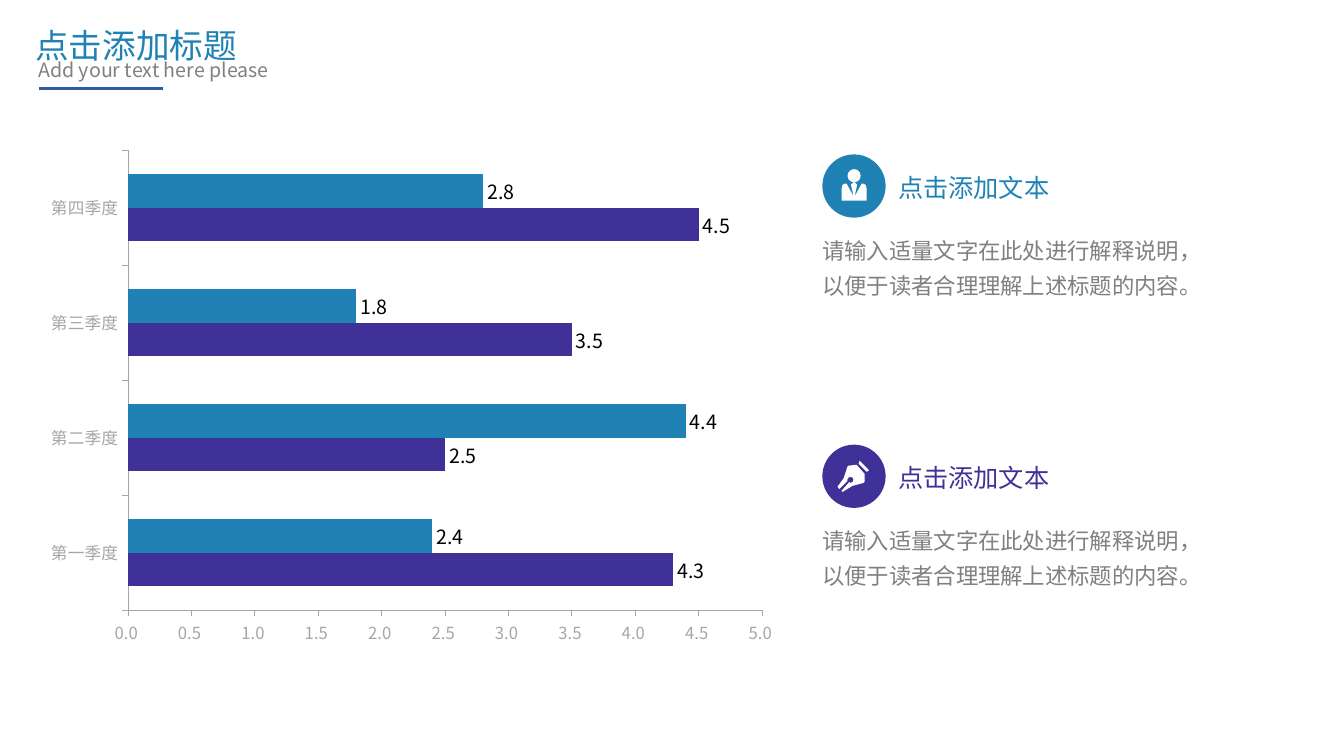
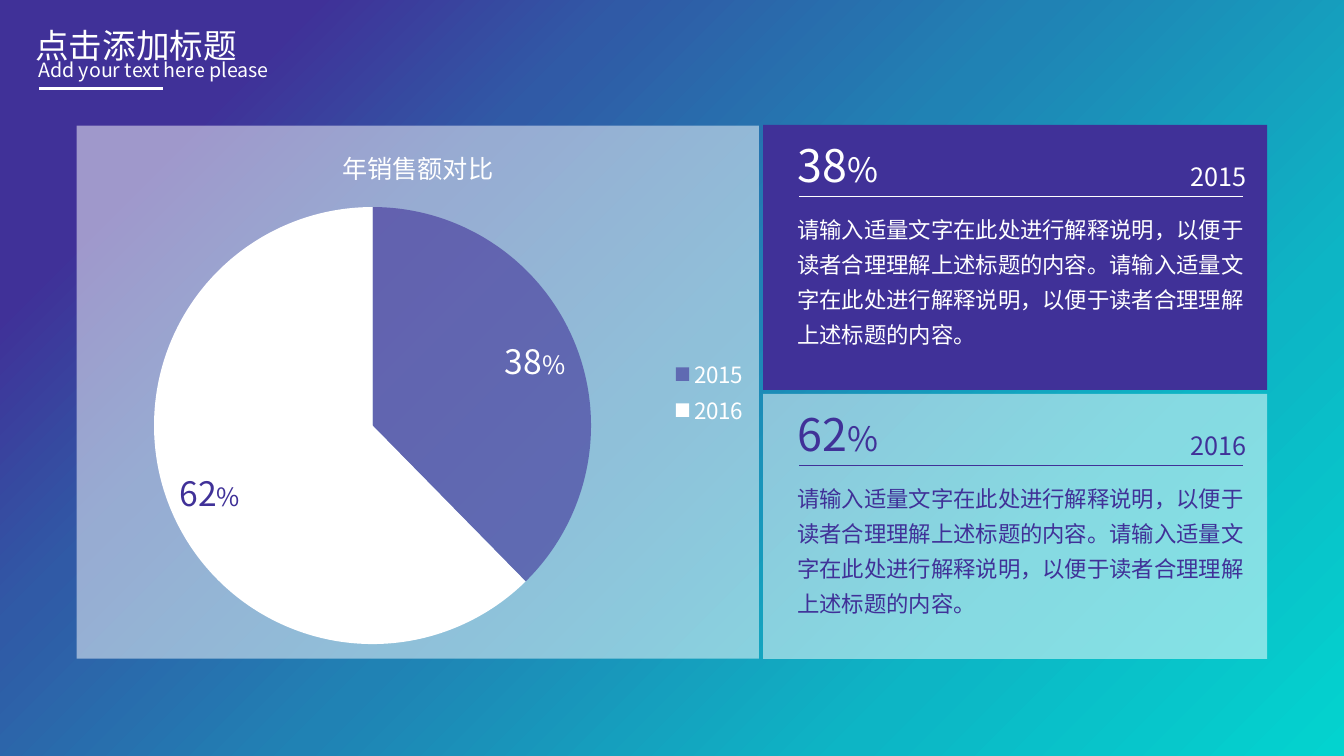
from lxml import etree
from pptx import Presentation
from pptx.chart.data import CategoryChartData
from pptx.dml.color import RGBColor
from pptx.enum.chart import XL_CHART_TYPE, XL_LABEL_POSITION, XL_LEGEND_POSITION, XL_TICK_MARK
from pptx.enum.shapes import MSO_CONNECTOR, MSO_SHAPE
from pptx.enum.text import MSO_ANCHOR, MSO_AUTO_SIZE, PP_ALIGN
from pptx.oxml import parse_xml
from pptx.oxml.ns import nsdecls, qn
from pptx.util import Pt

LEFT, RIGHT = PP_ALIGN.LEFT, PP_ALIGN.RIGHT
OUTSIDE = XL_TICK_MARK.OUTSIDE
OUTSIDE_END, BEST_FIT = XL_LABEL_POSITION.OUTSIDE_END, XL_LABEL_POSITION.BEST_FIT
RECTANGLE, OVAL = MSO_SHAPE.RECTANGLE, MSO_SHAPE.OVAL

FONT = "Noto Sans CJK SC"
WHITE, BLACK, DARK_GRAY, GRAY, LIGHT_GRAY = "FFFFFF", "000000", "404040", "808080", "A6A6A6"
BLUE, NAVY, PURPLE = "2082B4", "305AA6", "403198"
BACKGROUND_STOPS = [(15, PURPLE), (30, NAVY), (50, BLUE), (76, "0DB5C5"), (100, "03D3CF")]
NUMBER_FORMAT = r"#,##0.0_);[Red]\(#,##0.0\)"
EXPLANATION = "请输入适量文字在此处进行解释说明，以便于读者合理理解上述标题的内容。"

# Icon outlines, in tenths of a point from the corner of the disc
PERSON_BODY = [
    (137, 331), (137, 245), (145, 217), (162, 209), (173, 209), (224, 302), (205, 216), (227, 196),
    (249, 216), (230, 302), (281, 209), (292, 209), (309, 217), (317, 245), (317, 331)]
PEN_CAP = [(331, 180), (274, 122), (266, 116), (259, 137), (317, 194), (331, 187)]
PEN_NIB = [
    (245, 144), (187, 151), (180, 158), (153, 240), (108, 302), (122, 317), (180, 259),
    (180, 250), (187, 236), (202, 230), (217, 236), (223, 252), (217, 267), (202, 274), (192, 268),
    (137, 331), (144, 338), (216, 295), (295, 274), (302, 266), (302, 209)]


def rgb(color):
    return RGBColor.from_string(color)


def style_font(font, size, color):
    font.name, font.size = FONT, Pt(size)
    font.color.rgb = rgb(color)


def add_runs(paragraph, *runs):
    """Add (text, size, color) runs to a paragraph."""
    for text, size, color in runs:
        run = paragraph.add_run()
        run.text = text
        run.font.bold = False
        style_font(run.font, size, color)


def make_translucent(color_element, percent):
    etree.SubElement(color_element, qn("a:alpha")).set("val", str(percent * 1000))


def add_text(slide, box, text, size, color, alignment=LEFT, line_spacing=1.0):
    frame = slide.shapes.add_textbox(*map(Pt, box)).text_frame
    frame.word_wrap = True
    paragraph = frame.paragraphs[0]
    paragraph.text = text
    paragraph.alignment, paragraph.line_spacing = alignment, line_spacing
    style_font(paragraph.font, size, color)


def finish_shape(shape, color):
    shape.shadow.inherit = False
    shape.fill.solid()
    shape.fill.fore_color.rgb = rgb(color)
    shape.line.fill.background()


def add_filled_shape(slide, kind, box, color):
    shape = slide.shapes.add_shape(kind, *map(Pt, box))
    finish_shape(shape, color)
    return shape


def add_outline(slide, left, top, points, color):
    builder = slide.shapes.build_freeform(*points[0], scale=Pt(0.1))
    builder.add_line_segments(points[1:], close=True)
    finish_shape(builder.convert_to_shape(Pt(left), Pt(top)), color)


def add_rule(slide, left, top, width, color, weight):
    rule = slide.shapes.add_connector(
        MSO_CONNECTOR.STRAIGHT, Pt(left), Pt(top), Pt(left + width), Pt(top))
    rule.line.color.rgb = rgb(color)
    rule.line.width = Pt(weight)
    etree.SubElement(rule.element.spPr, qn("a:effectLst"))


def add_heading(slide, title_color, subtitle_color, rule_color):
    title = slide.shapes.title
    title.left, title.top, title.width, title.height = map(Pt, (18, 14.4, 171.4, 36))
    frame = title.text_frame
    frame.text = "点击添加标题"
    frame.auto_size, frame.vertical_anchor = MSO_AUTO_SIZE.NONE, MSO_ANCHOR.TOP
    paragraph = frame.paragraphs[0]
    paragraph.alignment = LEFT
    style_font(paragraph.font, 24, title_color)
    add_text(slide, (20.3, 37.8, 193, 24.5), "Add your text here please", 14, subtitle_color)
    add_rule(slide, 28, 63, 88.5, rule_color, 2)


def set_east_asian_font(element):
    for latin in element.iter(qn("a:latin")):
        latin.addnext(parse_xml(f'<a:ea {nsdecls("a")} typeface="{FONT}"/>'))


def set_plot_box(chart, chart_box, plot_box):
    """Pin the inner plot area; plot_box is in points from the corner of the chart."""
    plot_area = chart.element.find(".//" + qn("c:plotArea"))
    for layout in plot_area.findall(qn("c:layout")):
        plot_area.remove(layout)
    sizes = chart_box[2:] * 2
    values = "".join(f'<c:{key} val="{length / size:.4f}"/>'
                     for key, length, size in zip("xywh", plot_box, sizes))
    plot_area.insert(0, parse_xml(
        f'<c:layout {nsdecls("c")}><c:manualLayout><c:layoutTarget val="inner"/>'
        f'<c:xMode val="edge"/><c:yMode val="edge"/>{values}</c:manualLayout></c:layout>'))


def add_chart(slide, kind, box, categories, series):
    data = CategoryChartData()
    data.categories = categories
    for name, values in series:
        data.add_series(name, values)
    chart = slide.shapes.add_chart(kind, *map(Pt, box), data).chart
    style_font(chart.font, 10, BLACK)
    return chart


def show_values(series, position, size, color):
    labels = series.data_labels
    labels.show_value, labels.position = True, position
    style_font(labels.font, size, color)
    return labels


def add_quarter_chart(slide, box):
    chart = add_chart(
        slide, XL_CHART_TYPE.BAR_CLUSTERED, box, ["第一季度", "第二季度", "第三季度", "第四季度"],
        [("Series 1", (4.3, 2.5, 3.5, 4.5)), ("Series 2", (2.4, 4.4, 1.8, 2.8))])
    chart.has_legend = chart.has_title = False
    set_plot_box(chart, box, (65.5, 7.2, 452.9, 328.6))
    plot = chart.plots[0]
    plot.gap_width, plot.vary_by_categories = 142, False
    for series, color in zip(plot.series, (PURPLE, BLUE)):
        series.format.fill.solid()
        series.format.fill.fore_color.rgb = rgb(color)
        labels = show_values(series, OUTSIDE_END, 14, BLACK)
        labels.number_format, labels.number_format_is_linked = NUMBER_FORMAT, False
    for axis in (chart.category_axis, chart.value_axis):
        axis.has_major_gridlines = False
        axis.major_tick_mark = OUTSIDE
        axis.format.line.color.rgb = rgb(LIGHT_GRAY)
        axis.format.line.width = Pt(0.75)
        style_font(axis.tick_labels.font, 11.9, LIGHT_GRAY)
    axis = chart.value_axis
    axis.minimum_scale, axis.maximum_scale, axis.major_unit = 0, 5, 0.5
    axis.tick_labels.number_format = NUMBER_FORMAT
    axis.tick_labels.number_format_is_linked = False
    set_east_asian_font(chart.element)


def add_sales_chart(slide, box):
    name = "年销售额对比"
    chart = add_chart(slide, XL_CHART_TYPE.PIE, box, ["2015", "2016"], [(name, (3.2, 5.3))])
    set_plot_box(chart, box, (55.2, 58.1, 312.2, 312.2))
    chart.has_title = True
    add_runs(chart.chart_title.text_frame.paragraphs[0], (name, 18, WHITE))
    chart.has_legend = True
    chart.legend.position = XL_LEGEND_POSITION.RIGHT
    chart.legend.include_in_layout = False
    style_font(chart.legend.font, 16, WHITE)
    plot = chart.plots[0]
    plot.vary_by_categories = True
    series = plot.series[0]
    show_values(series, BEST_FIT, 18, DARK_GRAY)
    slices = [("38", PURPLE, WHITE), ("62", WHITE, PURPLE)]
    for index, (share, fill_color, text_color) in enumerate(slices):
        point = series.points[index]
        point.format.fill.solid()
        point.format.fill.fore_color.rgb = rgb(fill_color)
        point.format.line.fill.background()
        label = point.data_label
        add_runs(label.text_frame.paragraphs[0], (share, 24, text_color), ("%", 18, text_color))
        label.position = BEST_FIT
    make_translucent(chart.element.find(f".//{qn('c:dPt')}//{qn('a:srgbClr')}"), 60)
    chart.element.find(qn("c:chart")).addnext(parse_xml(
        f'<c:spPr {nsdecls("c", "a")}><a:solidFill><a:srgbClr val="{WHITE}">'
        '<a:alpha val="50000"/></a:srgbClr></a:solidFill><a:ln><a:noFill/></a:ln></c:spPr>'))
    set_east_asian_font(chart.element)


def draw_person(slide, left, top):
    add_filled_shape(slide, OVAL, (left + 18, top + 10.5, 9.4, 9.4), WHITE)
    add_outline(slide, left, top, PERSON_BODY, WHITE)


def draw_pen(slide, left, top):
    for points in (PEN_CAP, PEN_NIB):
        add_outline(slide, left, top, points, WHITE)


def add_icon_block(slide, left, top, color, draw_icon):
    add_filled_shape(slide, OVAL, (left, top, 45.2, 45.2), color)
    draw_icon(slide, left, top)
    add_text(slide, (left + 47, top + 9.4, 196, 29), "点击添加文本", 18, color)
    add_text(slide, (left - 7.2, top + 49.7, 288, 55.5), EXPLANATION, 16, GRAY, line_spacing=1.3)


def add_year_panel(slide, left, top, share, year, fill_color, text_color, opacity):
    panel = add_filled_shape(slide, RECTANGLE, (left, top, 360, 189.4), fill_color)
    if opacity < 100:
        make_translucent(panel.element.spPr.find(".//" + qn("a:srgbClr")), opacity)
    frame = slide.shapes.add_textbox(*map(Pt, (left + 17.4, top + 5.4, 121.7, 46))).text_frame
    frame.word_wrap = True
    add_runs(frame.paragraphs[0], (share, 32, text_color), ("%", 24, text_color))
    add_rule(slide, left + 25.9, top + 51, 316.8, text_color, 0.5)
    add_text(slide, (left + 269, top + 22.3, 83.5, 29), year, 18, text_color, RIGHT)
    add_text(slide, (left + 17.3, top + 56.2, 342.7, 108), EXPLANATION * 2, 16, text_color,
             line_spacing=1.3)


def set_gradient_background(slide):
    fill = slide.background.fill
    fill.gradient()
    fill.gradient_angle = 315
    stops = slide.element.find(".//" + qn("a:gsLst"))
    for stop in list(stops):
        stops.remove(stop)
    for position, color in BACKGROUND_STOPS:
        stop = etree.SubElement(stops, qn("a:gs"), pos=str(position * 1000))
        etree.SubElement(stop, qn("a:srgbClr"), val=color)


def build_quarter_slide(slide):
    add_heading(slide, BLUE, GRAY, NAVY)
    add_quarter_chart(slide, (26, 100.1, 539.3, 368.6))
    blocks = [(BLUE, draw_person), (PURPLE, draw_pen)]
    for index, (color, draw_icon) in enumerate(blocks):
        add_icon_block(slide, 587.4, 110.3 + index * 207.3, color, draw_icon)


def build_sales_slide(slide):
    set_gradient_background(slide)
    add_heading(slide, WHITE, WHITE, WHITE)
    add_sales_chart(slide, (54.8, 89.8, 487.3, 380.6))
    panels = [("38", "2015", PURPLE, WHITE, 100), ("62", "2016", WHITE, PURPLE, 50)]
    for index, panel in enumerate(panels):
        add_year_panel(slide, 545.1, 89.2 + index * 192.1, *panel)


def main():
    presentation = Presentation()
    presentation.slide_width, presentation.slide_height = Pt(960), Pt(540)
    for build in (build_quarter_slide, build_sales_slide):
        slide = presentation.slides.add_slide(presentation.slide_layouts[5])
        build(slide)
        set_east_asian_font(slide.element)
    presentation.save("out.pptx")


if __name__ == "__main__":
    main()
